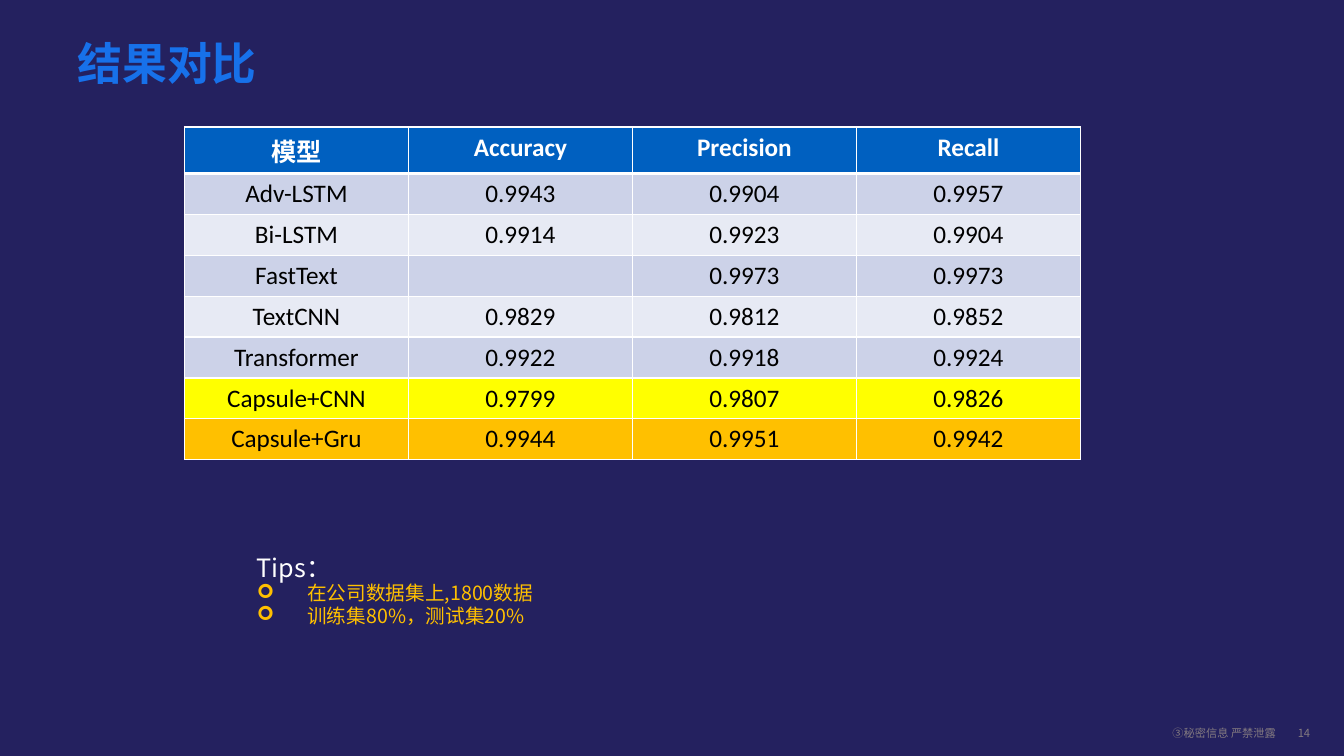
from lxml.etree import SubElement as Sub
from pptx import Presentation
from pptx.dml.color import RGBColor as Rgb
from pptx.enum.text import MSO_ANCHOR as Anchor, MSO_AUTO_SIZE as Auto, PP_ALIGN as Align
from pptx.oxml.ns import qn
from pptx.util import Cm, Pt

NOTO = "Noto Sans CJK SC"
ROWS = [
    ("模型", "Accuracy", "Precision", "Recall"),
    ("Adv-LSTM", "0.9943", "0.9904", "0.9957"),
    ("Bi-LSTM", "0.9914", "0.9923", "0.9904"),
    ("FastText", "", "0.9973", "0.9973"),
    ("TextCNN", "0.9829", "0.9812", "0.9852"),
    ("Transformer", "0.9922", "0.9918", "0.9924"),
    ("Capsule+CNN", "0.9799", "0.9807", "0.9826"),
    ("Capsule+Gru", "0.9944", "0.9951", "0.9942"),
]
FILLS = ["0060C0", "CCD2E8", "E7EAF4", "CCD2E8", "E7EAF4", "CCD2E8", "FFFF00", "FFC000"]


def paint(fill, color):
    fill.solid()
    fill.fore_color.rgb = Rgb.from_string(color)


def write(par, words, size=18, color="FFFFFF", bold=False, face=NOTO, align=Align.LEFT):
    par.alignment = align
    par.space_before = Pt(0)
    run = par.add_run()
    run.text = words
    font = run.font
    font.size, font.bold, font.name = Pt(size), bold, face
    paint(font.fill, color)
    Sub(run._r.get_or_add_rPr(), qn("a:ea"), typeface=NOTO)


def place(shape, box):
    shape.left, shape.top, shape.width, shape.height = map(Cm, box)


def bullet(par, mark=None, indent=0):
    props = par._p.get_or_add_pPr()
    props.set("marL", str(Cm(indent)))
    props.set("indent", str(-Cm(indent)))
    if mark:
        Sub(props, qn("a:buFont"), typeface="Wingdings")
        Sub(props, qn("a:buChar"), char=mark)
    else:
        Sub(props, qn("a:buNone"))


def border(cell, row):
    props = cell._tc.get_or_add_tcPr()
    thick = {"T": row == 1, "B": row == 0}
    for spot, side in enumerate("LRTB"):
        width = Pt(3 if thick.get(side) else 1)
        line = Sub(props, qn("a:ln" + side), w=str(width))
        Sub(Sub(line, qn("a:solidFill")), qn("a:srgbClr"), val="FFFFFF")
        props.insert(spot, line)


# Title
def head(slide, box):
    title = slide.shapes.title
    place(title, box)
    frame = title.text_frame
    frame.vertical_anchor = Anchor.TOP
    write(frame.paragraphs[0], "结果对比", size=32, color="1771EA", bold=True)


# Scores of each model
def scores(slide, box):
    table = slide.shapes.add_table(len(ROWS), len(ROWS[0]), *map(Cm, box)).table
    for r, row in enumerate(ROWS):
        for c, words in enumerate(row):
            cell = table.cell(r, c)
            paint(cell.fill, FILLS[r])
            border(cell, r)
            if words:
                write(cell.text_frame.paragraphs[0], words, face="Calibri", bold=r == 0,
                      color="000000" if r else "FFFFFF", align=Align.CENTER)


# Tips below the table
def tips(slide, box):
    body = slide.placeholders[1]
    place(body, box)
    frame = body.text_frame
    frame.auto_size = Auto.NONE
    lead = frame.paragraphs[0]
    bullet(lead)
    write(lead, "Tips：")
    for words in ("在公司数据集上,1800数据", "训练集80%，测试集20%"):
        par = frame.add_paragraph()
        bullet(par, "➢", 1.27)
        write(par, words, size=14, color="FFC000")
    for par in frame.paragraphs:
        par.line_spacing = 0.95


# Notice and page number, flush right
def foot(slide, box):
    left, top, width, height = box
    page = 0.86
    parts = [("③秘密信息 严禁泄露", left, width - page),
             ("14", left + width - page, page)]
    for words, x, wide in parts:
        frame = slide.shapes.add_textbox(Cm(x), Cm(top), Cm(wide), Cm(height)).text_frame
        frame.margin_left = frame.margin_right = frame.margin_top = frame.margin_bottom = 0
        frame.word_wrap = True
        frame.vertical_anchor = Anchor.MIDDLE
        write(frame.paragraphs[0], words, size=8, color="837A80", align=Align.RIGHT)


def main():
    deck = Presentation()
    deck.slide_width, deck.slide_height = Cm(33.87), Cm(19.05)
    slide = deck.slides.add_slide(deck.slide_layouts[1])
    paint(slide.background.fill, "24215F")
    head(slide, (1.7, 0.76, 30.48, 3.18))
    tips(slide, (6.22, 13.84, 10.03, 4.19))
    scores(slide, (4.65, 3.2, 22.58, 8.24))
    foot(slide, (28.78, 18.31, 4.24, 0.33))
    deck.save("out.pptx")


if __name__ == "__main__":
    main()
